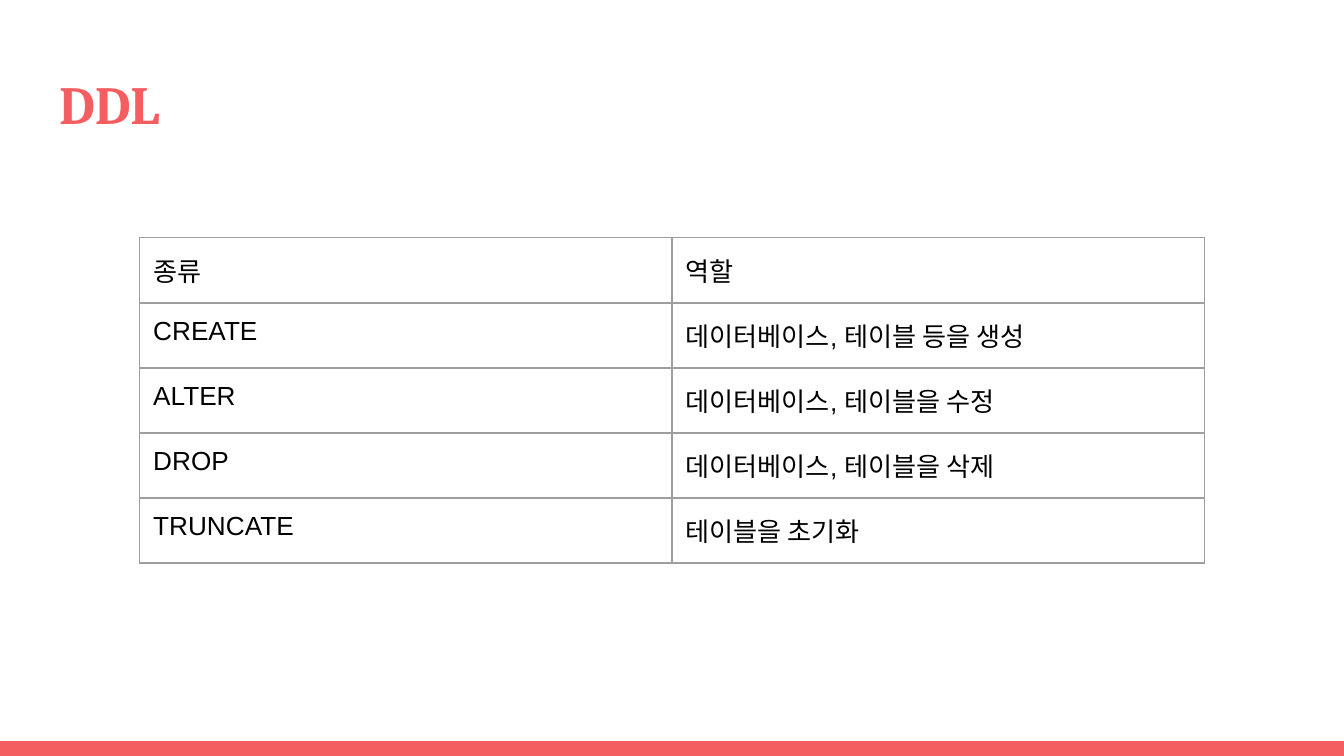
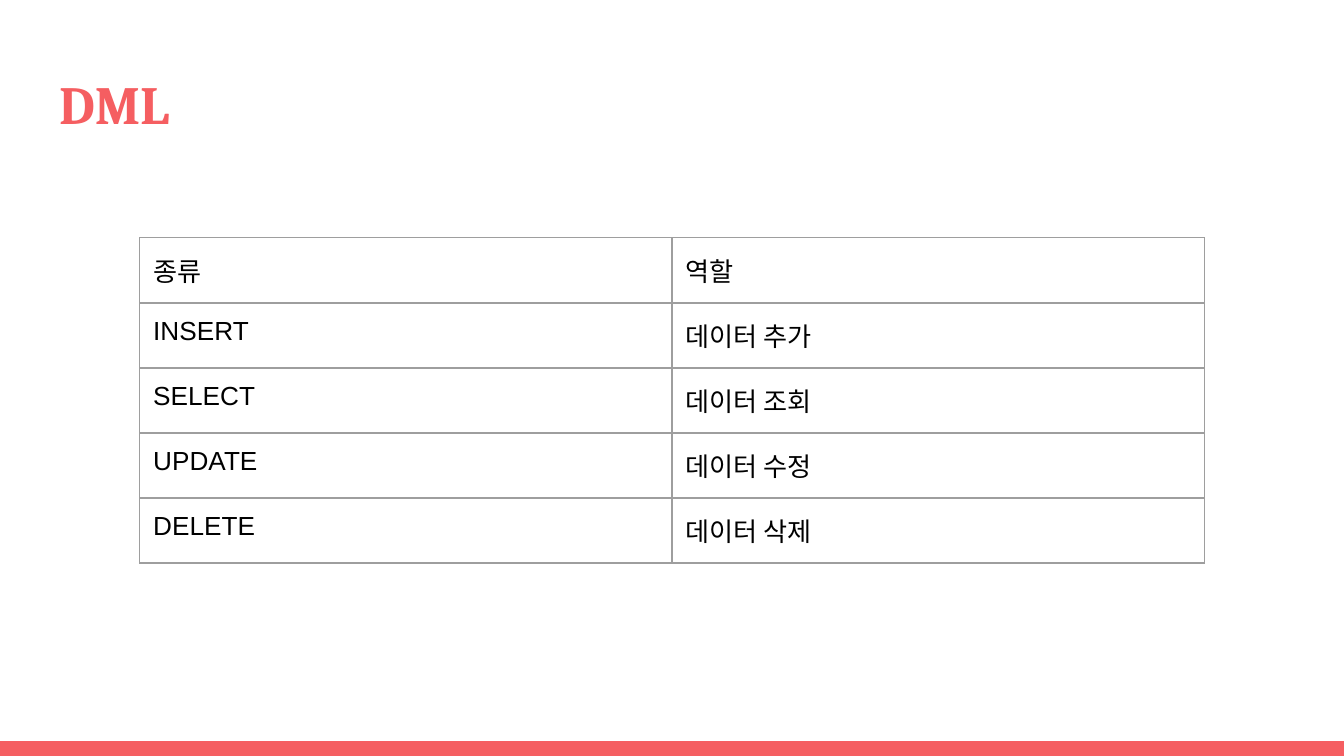
import pptx
import pptx.dml.color
import pptx.enum.shapes
import pptx.enum.text
import pptx.oxml
import pptx.oxml.ns
import pptx.util

# Shared look
PX = 4572  # EMU in one px, 200 px to the inch
SLIDE_WIDTH, SLIDE_HEIGHT = 2000, 1125
CORAL, WHITE, BLACK, GRAY = "F55E61", "FFFFFF", "000000", "9E9E9E"
TITLE_FONT, BODY_FONT = "Cambria", "Arial"
INSET = 20
BAND_HEIGHT = 22
TITLE_BOX = (68, 86, 1864, 136)
TABLE_LEFT, TABLE_TOP = 208, 354
COLUMN_WIDTH, ROW_HEIGHT = 792, 84
BORDER_POINTS = 0.75

# Slide contents: title and command rows
HEADER = ("종류", "역할")
SLIDES = {
    "DDL": [
        ("CREATE", "데이터베이스, 테이블 등을 생성"),
        ("ALTER", "데이터베이스, 테이블을 수정"),
        ("DROP", "데이터베이스, 테이블을 삭제"),
        ("TRUNCATE", "테이블을 초기화"),
    ],
    "DML": [
        ("INSERT", "데이터 추가"),
        ("SELECT", "데이터 조회"),
        ("UPDATE", "데이터 수정"),
        ("DELETE", "데이터 삭제"),
    ],
}


def px(length):
    return pptx.util.Emu(length * PX)


def color(value):
    return pptx.dml.color.RGBColor.from_string(value)


def fill_solid(target, value):
    target.fill.solid()
    target.fill.fore_color.rgb = color(value)


def set_insets(target):
    for side in ("left", "top", "right", "bottom"):
        setattr(target, f"margin_{side}", px(INSET))


def add_run(paragraph, text, size, font, value, bold=False):
    paragraph.alignment = pptx.enum.text.PP_ALIGN.LEFT
    run = paragraph.add_run()
    run.text = text
    run.font.size = pptx.util.Pt(size)
    run.font.name = font
    run.font.bold = bold
    run.font.color.rgb = color(value)


def add_band(slide):
    band = slide.shapes.add_shape(
        pptx.enum.shapes.MSO_SHAPE.RECTANGLE,
        px(0), px(SLIDE_HEIGHT - BAND_HEIGHT), px(SLIDE_WIDTH), px(BAND_HEIGHT))
    band.shadow.inherit = False
    fill_solid(band, CORAL)
    band.line.fill.background()


def set_title(slide, text):
    title = slide.shapes.title
    title.left, title.top, title.width, title.height = map(px, TITLE_BOX)
    frame = title.text_frame
    set_insets(frame)
    frame.word_wrap = True
    frame.auto_size = pptx.enum.text.MSO_AUTO_SIZE.NONE
    frame.vertical_anchor = pptx.enum.text.MSO_ANCHOR.TOP
    paragraph = frame.paragraphs[0]
    paragraph.line_spacing = 1.0
    paragraph.space_before = pptx.util.Pt(0)
    add_run(paragraph, text, 28.8, TITLE_FONT, CORAL, bold=True)


def set_borders(cell):
    properties = cell._tc.get_or_add_tcPr()
    width = pptx.util.Pt(BORDER_POINTS)
    # Border lines come before the fill, in this order
    for position, side in enumerate(("lnL", "lnR", "lnT", "lnB")):
        properties.insert(position, pptx.oxml.parse_xml(
            f'<a:{side} {pptx.oxml.ns.nsdecls("a")} w="{width}">'
            f'<a:solidFill><a:srgbClr val="{GRAY}"/></a:solidFill>'
            f'</a:{side}>'))


def add_command_table(slide, rows):
    table = slide.shapes.add_table(
        len(rows), len(HEADER), px(TABLE_LEFT), px(TABLE_TOP),
        px(COLUMN_WIDTH * len(HEADER)), px(ROW_HEIGHT * len(rows))).table
    table.first_row = False
    table.horz_banding = False
    for row_index, row in enumerate(rows):
        for column_index, text in enumerate(row):
            cell = table.cell(row_index, column_index)
            set_insets(cell)
            cell.vertical_anchor = pptx.enum.text.MSO_ANCHOR.TOP
            cell.fill.background()
            set_borders(cell)
            add_run(cell.text_frame.paragraphs[0], text, 14, BODY_FONT, BLACK)


def add_command_slide(presentation, title, commands):
    slide = presentation.slides.add_slide(presentation.slide_layouts[5])
    fill_solid(slide.background, WHITE)
    add_band(slide)
    set_title(slide, title)
    add_command_table(slide, [HEADER, *commands])


def main():
    presentation = pptx.Presentation()
    presentation.slide_width = px(SLIDE_WIDTH)
    presentation.slide_height = px(SLIDE_HEIGHT)
    for title, commands in SLIDES.items():
        add_command_slide(presentation, title, commands)
    presentation.save("out.pptx")


if __name__ == "__main__":
    main()
